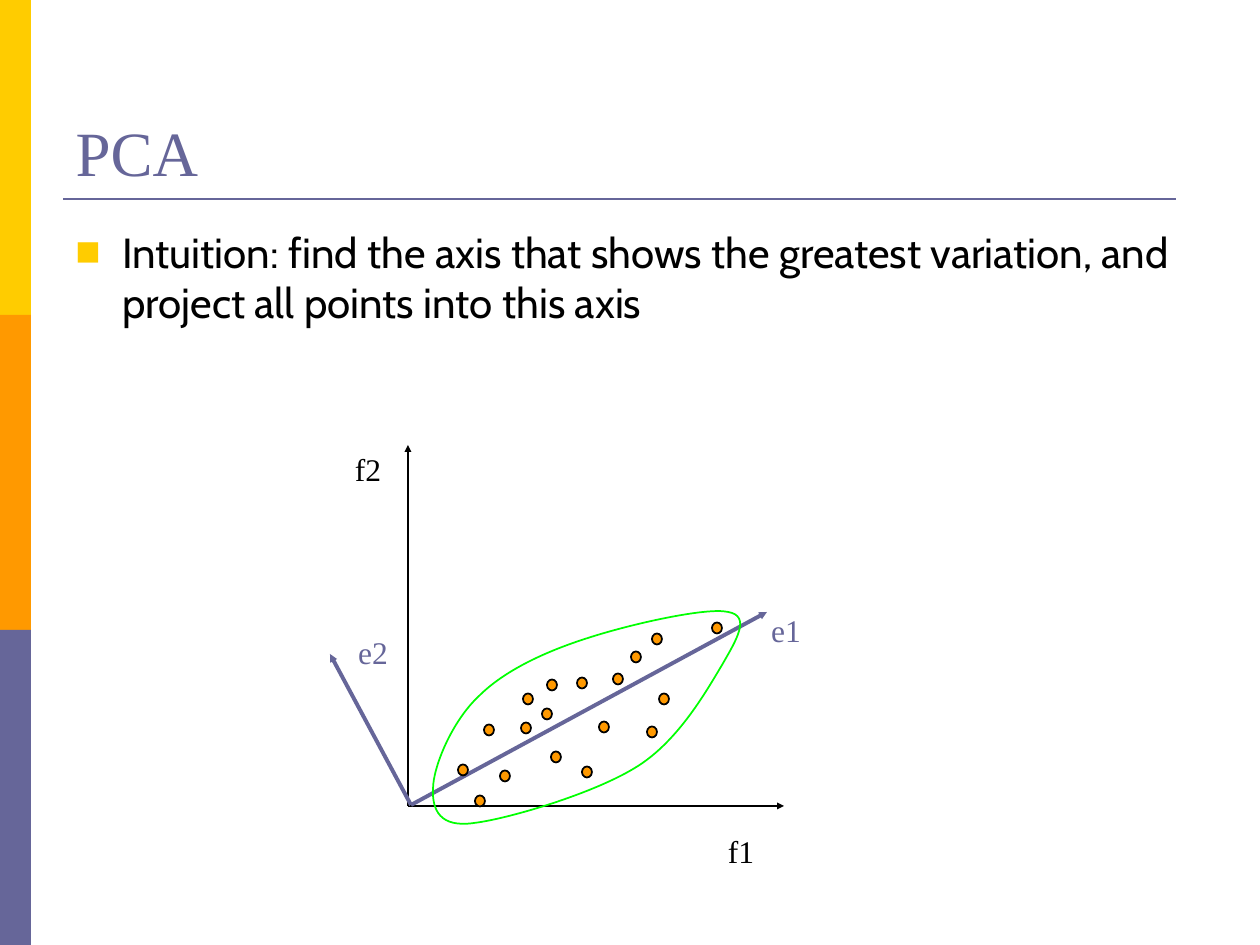
import pptx
import pptx.dml.color
import pptx.enum.shapes
import pptx.enum.text
import pptx.oxml
import pptx.oxml.ns
import pptx.util

RGB = pptx.dml.color.RGBColor
SHAPE = pptx.enum.shapes.MSO_SHAPE
ANCHOR = pptx.enum.text.MSO_ANCHOR
ALIGN = pptx.enum.text.PP_ALIGN
AUTO_SIZE = pptx.enum.text.MSO_AUTO_SIZE

YELLOW = RGB(0xFF, 0xCC, 0x00)
ORANGE = RGB(0xFF, 0x99, 0x00)
PURPLE = RGB(0x66, 0x66, 0x99)
GREEN = RGB(0x00, 0xFF, 0x00)
BLACK = RGB(0x00, 0x00, 0x00)
SERIF = "Times New Roman"
SANS = "Cabin"

EMU_PER_PX = 914400 / 126
DOT_W, DOT_H = 10, 11

POINTS = [
    (489, 730), (528, 699), (463, 770), (547, 714), (526, 728), (604, 727),
    (587, 772), (556, 757), (582, 683), (664, 699), (717, 628), (505, 776),
    (618, 679), (657, 639), (552, 685), (636, 657), (652, 732), (480, 801),
]
CLUSTER_START = (433, 789)
CLUSTER_CURVES = [
    [(433, 767), (452, 721), (479, 696)],
    [(505, 670), (547, 651), (588, 638)],
    [(631, 624), (707, 607), (728, 612)],
    [(751, 616), (737, 639), (722, 665)],
    [(707, 690), (679, 740), (638, 766)],
    [(596, 793), (508, 819), (474, 823)],
    [(440, 828), (432, 810), CLUSTER_START],
]


def px(n):
    return pptx.util.Emu(round(n * EMU_PER_PX))


def box(*lengths):
    return [px(n) for n in lengths]


def add_run(p, text, font, size, color):
    r = p.add_run()
    r.text = text
    r.font.name = font
    r.font.size = pptx.util.Pt(size)
    r.font.color.rgb = color


def set_title(s, text):
    sp = s.shapes.title
    sp.left, sp.top, sp.width, sp.height = box(63, 38, 1134, 157)
    tf = sp.text_frame
    tf.vertical_anchor = ANCHOR.BOTTOM
    p = tf.paragraphs[0]
    p.alignment = ALIGN.LEFT
    add_run(p, text, SERIF, 36, PURPLE)


def add_bullet_text(s, text):
    tf = s.shapes.add_textbox(*box(63, 220, 1134, 624)).text_frame
    tf.word_wrap = True
    p = tf.paragraphs[0]
    pPr = p._p.get_or_add_pPr()
    indent = px(47)
    pPr.set("marL", str(indent))
    pPr.set("indent", str(-indent))
    ns = pptx.oxml.ns.nsdecls("a")
    for xml in (
        f'<a:buClr {ns}><a:srgbClr val="{YELLOW}"/></a:buClr>',
        f'<a:buFont {ns} typeface="{SERIF}"/>',
        f'<a:buChar {ns} char="■"/>',
    ):
        pPr.append(pptx.oxml.parse_xml(xml))
    add_run(p, text, SANS, 24, BLACK)


def add_shape(s, kind, bounds, fill, line=None):
    sp = s.shapes.add_shape(kind, *box(*bounds))
    sp.shadow.inherit = False
    sp.fill.solid()
    sp.fill.fore_color.rgb = fill
    if line is None:
        sp.line.fill.background()
    else:
        sp.line.color.rgb = line
        sp.line.width = pptx.util.Pt(1)


def add_line(s, start, end, color, width, arrow=False):
    straight = pptx.enum.shapes.MSO_CONNECTOR.STRAIGHT
    sp = s.shapes.add_connector(straight, *box(*start, *end))
    sp.line.color.rgb = color
    sp.line.width = pptx.util.Pt(width)
    ns = pptx.oxml.ns.nsdecls("a")
    if arrow:
        tail = pptx.oxml.parse_xml(
            f'<a:tailEnd {ns} type="triangle" w="sm" len="sm"/>')
        sp.line._get_or_add_ln().append(tail)
    sp._element.spPr.append(pptx.oxml.parse_xml(f"<a:effectLst {ns}/>"))


def add_closed_curve(s, start, curves, color):
    builder = s.shapes.build_freeform(*box(*start), scale=1.0)
    builder.add_line_segments([box(*pt) for c in curves for pt in c], close=True)
    sp = builder.convert_to_shape()
    qn = pptx.oxml.ns.qn
    segments = list(sp._element.iter(qn("a:lnTo")))
    for i in range(0, len(segments), 3):
        bezier = segments[i].makeelement(qn("a:cubicBezTo"), {})
        segments[i].addprevious(bezier)
        for segment in segments[i:i + 3]:
            bezier.append(segment[0])
            segment.getparent().remove(segment)
    sp.shadow.inherit = False
    sp.fill.background()
    sp.line.color.rgb = color
    sp.line.width = pptx.util.Pt(1)


def add_label(s, text, bounds, color, wrap=False):
    tf = s.shapes.add_textbox(*box(*bounds)).text_frame
    tf.word_wrap = wrap
    tf.auto_size = AUTO_SIZE.SHAPE_TO_FIT_TEXT
    tf.vertical_anchor = ANCHOR.MIDDLE
    p = tf.paragraphs[0]
    p.alignment = ALIGN.CENTER
    add_run(p, text, SERIF, 18, color)


def main():
    prs = pptx.Presentation()
    prs.slide_width, prs.slide_height = box(1260, 945)
    s = prs.slides.add_slide(prs.slide_layouts[5])

    for i, color in enumerate((YELLOW, ORANGE, PURPLE)):
        add_shape(s, SHAPE.RECTANGLE, (0, 315 * i, 31, 315), color)
    add_line(s, (63, 199), (1176, 199), PURPLE, 1.5)
    set_title(s, "PCA")
    add_bullet_text(s, "Intuition: find the axis that shows the greatest "
                       "variation, and project all points into this axis")

    for end in ((408, 445), (784, 806)):
        add_line(s, (408, 806), end, BLACK, 1, arrow=True)
    for end in ((767, 612), (330, 654)):
        add_line(s, (411, 805), end, PURPLE, 2.25, arrow=True)

    for x, y in POINTS:
        bounds = (x - DOT_W / 2, y - DOT_H / 2, DOT_W, DOT_H)
        add_shape(s, SHAPE.OVAL, bounds, ORANGE, BLACK)
    add_closed_curve(s, CLUSTER_START, CLUSTER_CURVES, GREEN)

    add_label(s, "f1", (711, 826, 60, 50), BLACK)
    add_label(s, "e1", (756, 605, 60, 50), PURPLE)
    add_label(s, "e2", (326, 627, 94, 50), PURPLE, wrap=True)
    add_label(s, "f2", (338, 444, 60, 50), BLACK)
    prs.save("out.pptx")


if __name__ == "__main__":
    main()
